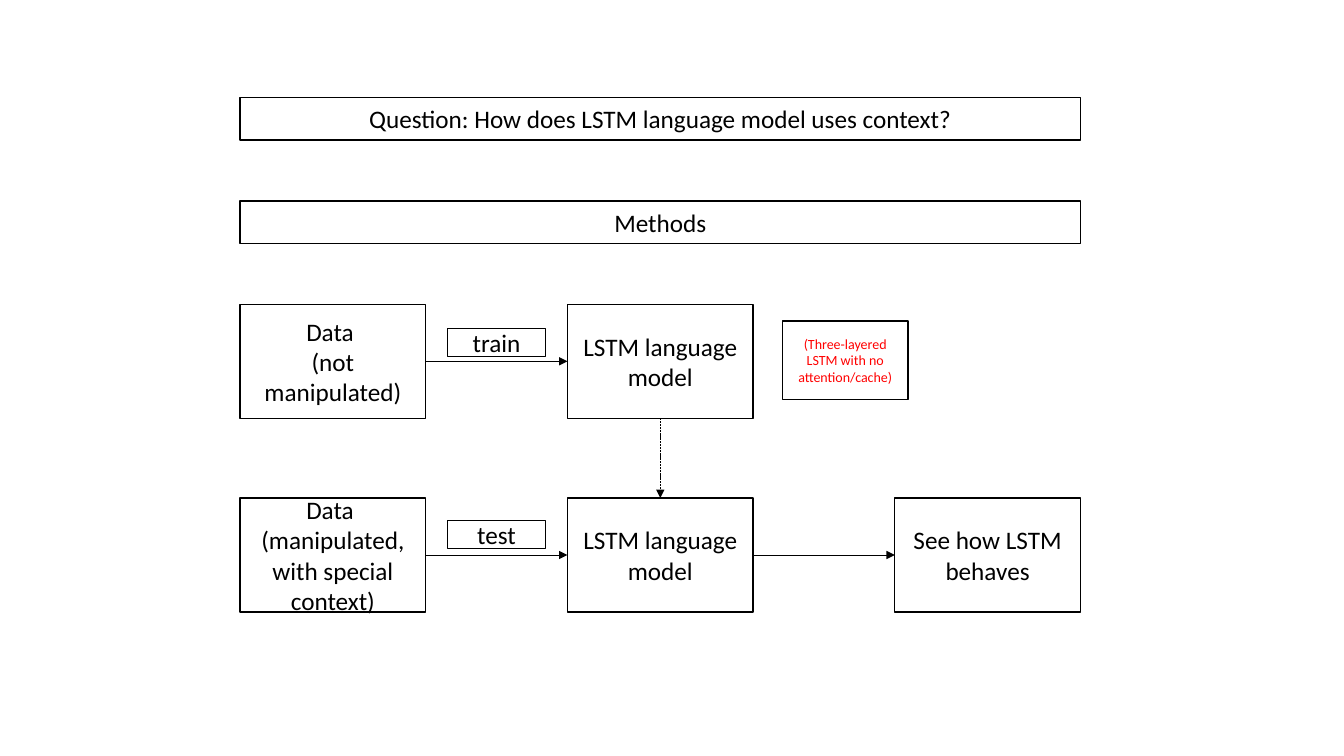
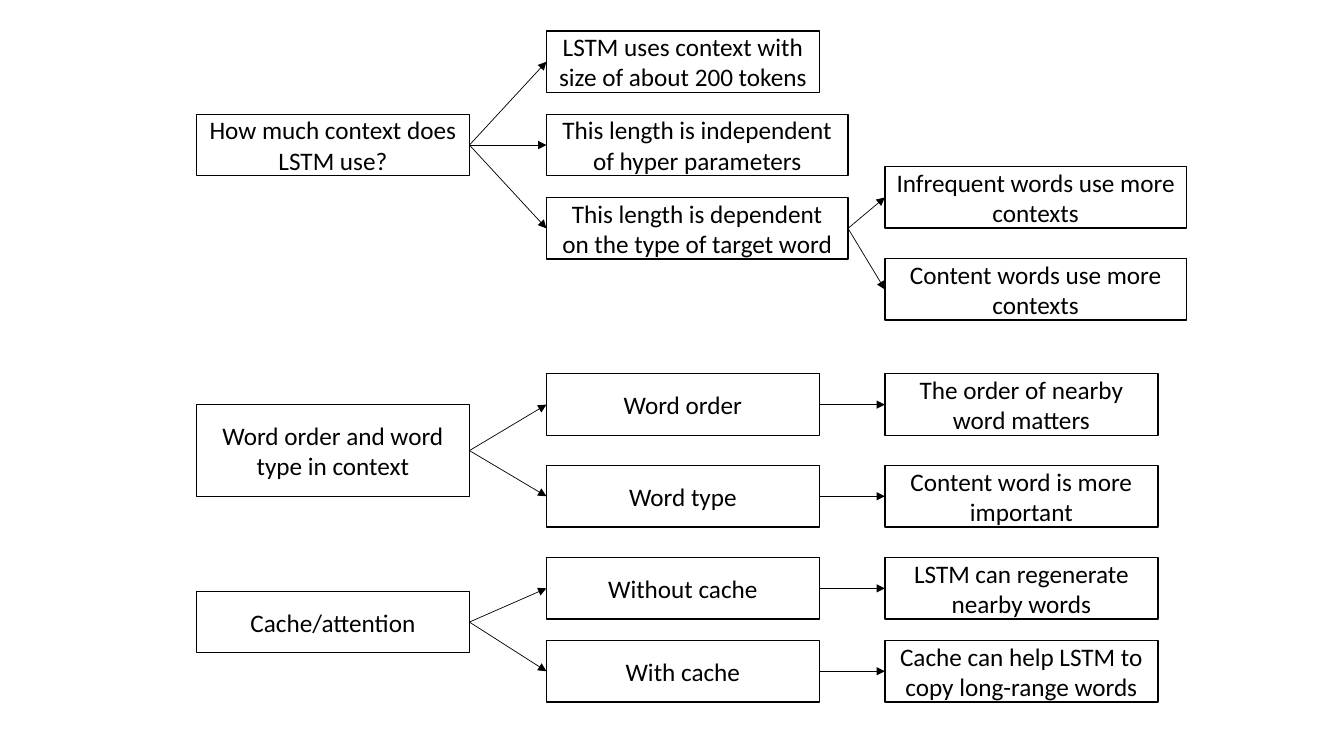
"""Build two flow diagrams about how an LSTM language model uses context."""
from dataclasses import dataclass

from lxml.etree import SubElement
from pptx import Presentation
from pptx.dml.color import RGBColor
from pptx.enum.dml import MSO_LINE
from pptx.enum.shapes import MSO_CONNECTOR, MSO_SHAPE
from pptx.enum.text import MSO_ANCHOR, PP_ALIGN
from pptx.oxml.ns import qn
from pptx.util import Cm, Pt

BLACK = RGBColor(0x00, 0x00, 0x00)
WHITE = RGBColor(0xFF, 0xFF, 0xFF)
RED = RGBColor(0xFF, 0x00, 0x00)
FONT = "Calibri"
BLANK_LAYOUT = 6
TOP, LEFT, BOTTOM, RIGHT = range(4)

BAR_LEFT, BAR_WIDTH, BAR_HEIGHT = 6.05, 21.18, 1.07
STEP_WIDTH, STEP_HEIGHT = 4.68, 2.87
STEP_COLUMNS = [BAR_LEFT + 8.25 * index for index in range(3)]
TRAIN_TOP, TEST_TOP = 7.67, 12.55

TREE_COLUMNS = [4.95, 13.77, 22.3]
NARROW, WIDE = 6.88, 7.6
NODE_HEIGHT = 1.55


@dataclass
class Node:
    """A box of a finding tree and the boxes it leads to."""
    text: str
    top: float
    children: tuple = ()
    width: float = NARROW
    height: float = NODE_HEIGHT


FINDINGS = [
    Node("How much context does LSTM use?", 2.88, (
        Node("LSTM uses context with size of about 200 tokens", 0.78),
        Node("This length is independent of hyper parameters", 2.88, width=WIDE),
        Node("This length is dependent on the type of target word", 4.98, (
            Node("Infrequent words use more contexts", 4.2, width=WIDE),
            Node("Content words use more contexts", 6.52, width=WIDE),
        ), width=WIDE),
    )),
    Node("Word order and word type in context", 10.2, (
        Node("Word order", 9.42, (
            Node("The order of nearby word matters", 9.42),)),
        Node("Word type", 11.73, (
            Node("Content word is more important", 11.73),)),
    ), height=2.31),
    Node("Cache/attention", 14.9, (
        Node("Without cache", 14.05, (
            Node("LSTM can regenerate nearby words", 14.05),)),
        Node("With cache", 16.14, (
            Node("Cache can help LSTM to copy long-range words", 16.14),)),
    )),
]


def add_box(page, lines, left, top, width, height, size=18, color=BLACK):
    """Add an outlined white box with one centred paragraph per line."""
    box = page.shapes.add_shape(
        MSO_SHAPE.RECTANGLE, Cm(left), Cm(top), Cm(width), Cm(height))
    box.shadow.inherit = False
    box.fill.solid()
    box.fill.fore_color.rgb = WHITE
    box.line.color.rgb = BLACK
    box.line.width = Pt(1)
    frame = box.text_frame
    frame.word_wrap = True
    frame.vertical_anchor = MSO_ANCHOR.MIDDLE
    for index, line in enumerate(lines):
        para = frame.add_paragraph() if index else frame.paragraphs[0]
        para.alignment = PP_ALIGN.CENTER
        span = para.add_run()
        span.text = line
        span.font.name = FONT
        span.font.size = Pt(size)
        span.font.color.rgb = color
    return box


def add_arrow(page, source, target, start=RIGHT, end=LEFT, dash=None):
    """Join two boxes with a thin straight arrow."""
    arrow = page.shapes.add_connector(MSO_CONNECTOR.STRAIGHT, 0, 0, 0, 0)
    arrow.begin_connect(source, start)
    arrow.end_connect(target, end)
    arrow.line.color.rgb = BLACK
    arrow.line.width = Pt(0.5)
    if dash is not None:
        arrow.line.dash_style = dash
    SubElement(arrow.line._get_or_add_ln(), qn("a:tailEnd"), type="triangle")
    SubElement(arrow._element.spPr, qn("a:effectLst"))


def add_bar(page, text, top):
    """Add a full-width heading bar."""
    add_box(page, [text], BAR_LEFT, top, BAR_WIDTH, BAR_HEIGHT)


def add_step(page, lines, column, top):
    """Add one step of the method in a column."""
    return add_box(page, lines, STEP_COLUMNS[column], top, STEP_WIDTH, STEP_HEIGHT)


def add_tag(page, text, top):
    """Add the small label above an arrow."""
    add_box(page, [text], 11.28, top, 2.47, 0.71)


def add_tree(page, node, level=0):
    """Add a node, its descendants and the arrows between them."""
    box = add_box(page, [node.text], TREE_COLUMNS[level], node.top,
                  node.width, node.height)
    for child in node.children:
        add_arrow(page, box, add_tree(page, child, level + 1))
    return box


def build_methods(page):
    """Draw the question and the training and testing steps."""
    add_bar(page, "Question: How does LSTM language model uses context?", 2.46)
    add_bar(page, "Methods", 5.07)
    plain_data = add_step(page, ["Data ", "(not manipulated)"], 0, TRAIN_TOP)
    trained = add_step(page, ["LSTM language model"], 1, TRAIN_TOP)
    special_data = add_step(
        page, ["Data ", "(manipulated, with special context)"], 0, TEST_TOP)
    tested = add_step(page, ["LSTM language model"], 1, TEST_TOP)
    outcome = add_step(page, ["See how LSTM behaves"], 2, TEST_TOP)
    add_arrow(page, plain_data, trained)
    add_arrow(page, special_data, tested)
    add_arrow(page, tested, outcome)
    add_arrow(page, trained, tested, BOTTOM, TOP, MSO_LINE.SQUARE_DOT)
    add_tag(page, "train", 8.28)
    add_tag(page, "test", 13.11)
    add_box(page, ["(Three-layered LSTM with no attention/cache)"],
            19.72, 8.09, 3.16, 1.98, 10, RED)


def build_findings(page):
    """Draw the trees of findings."""
    for root in FINDINGS:
        add_tree(page, root)


def main():
    """Build and save the deck."""
    deck = Presentation()
    deck.slide_width, deck.slide_height = Cm(33.87), Cm(19.05)
    for build in (build_methods, build_findings):
        build(deck.slides.add_slide(deck.slide_layouts[BLANK_LAYOUT]))
    deck.save("out.pptx")


main()
